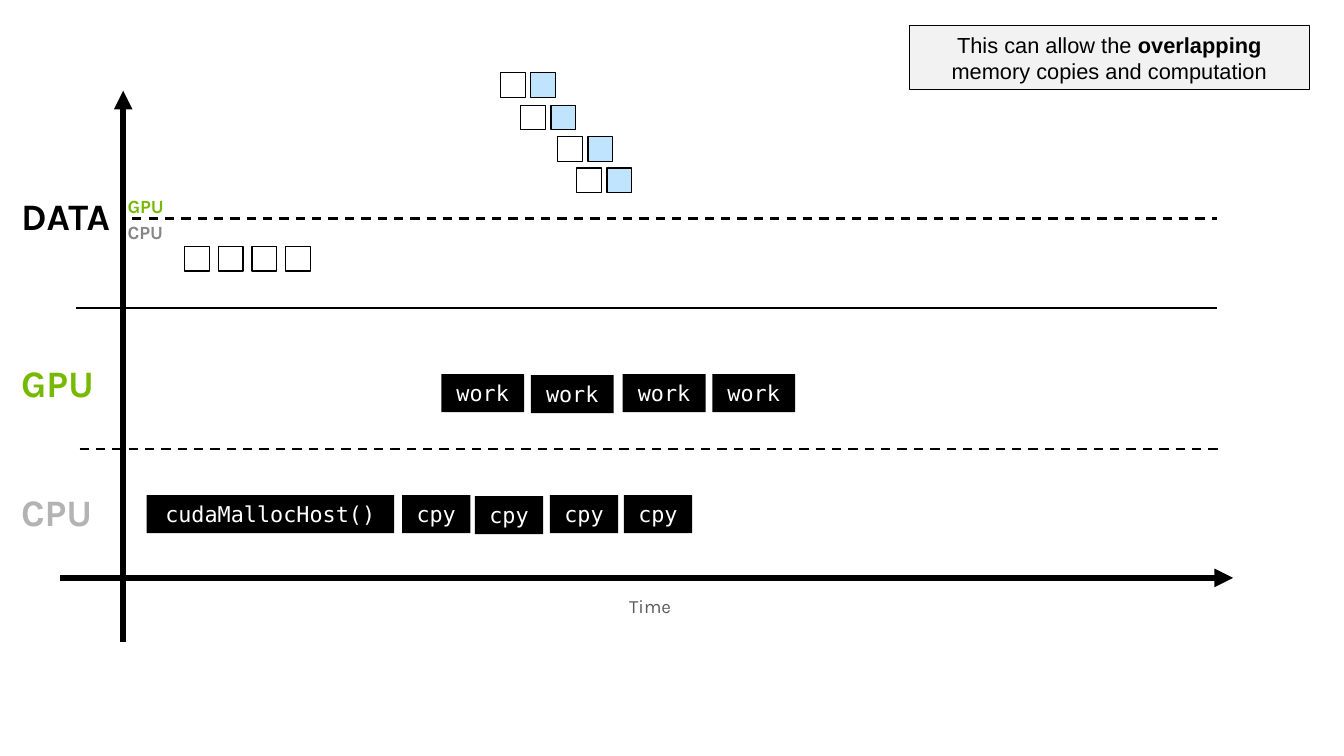
import dataclasses
from typing import Optional

import lxml.etree
import pptx
import pptx.dml.color
import pptx.enum.dml
import pptx.enum.shapes
import pptx.enum.text
import pptx.oxml.ns
import pptx.util
from pptx.util import Inches

COLORS = {
    "black": "000000",
    "white": "FFFFFF",
    "gpu": "76B900",
    "cpu": "B3B3B3",
    "cpu_data": "868686",
    "time": "595959",
    "copied": "C0E3FE",
    "callout": "F2F2F2",
}
ALIGN = pptx.enum.text.PP_ALIGN
ANCHOR = pptx.enum.text.MSO_ANCHOR
CELL = 0.22
TASK_HEIGHT = 0.34


@dataclasses.dataclass
class Rule:
    start: tuple[float, float]
    end: tuple[float, float]
    weight: float = 1.5
    dashed: bool = False
    arrow: bool = False


@dataclasses.dataclass
class Label:
    text: str
    left: float
    top: float
    width: float
    height: float
    size: int
    color: str
    bold: bool = True
    align: ALIGN = ALIGN.LEFT


@dataclasses.dataclass
class Task:
    text: str
    left: float
    top: float
    width: float


def rgb(color: str) -> pptx.dml.color.RGBColor:
    return pptx.dml.color.RGBColor.from_string(COLORS[color])


def style_run(run, font: str, size: int, color: str, bold: bool = False) -> None:
    run.font.name = font
    run.font.size = pptx.util.Pt(size)
    run.font.bold = bold
    run.font.color.rgb = rgb(color)


def draw_rule(shapes, rule: Rule) -> None:
    connector = shapes.add_connector(
        pptx.enum.shapes.MSO_CONNECTOR.STRAIGHT,
        *(Inches(value) for value in rule.start + rule.end),
    )
    connector.line.color.rgb = rgb("black")
    connector.line.width = pptx.util.Pt(rule.weight)
    if rule.dashed:
        connector.line.dash_style = pptx.enum.dml.MSO_LINE.DASH
    qn = pptx.oxml.ns.qn
    if rule.arrow:
        outline = connector.line._get_or_add_ln()
        lxml.etree.SubElement(outline, qn("a:tailEnd"), type="triangle")
    lxml.etree.SubElement(connector._element.spPr, qn("a:effectLst"))


def draw_label(shapes, label: Label) -> None:
    box = shapes.add_textbox(
        Inches(label.left), Inches(label.top), Inches(label.width), Inches(label.height)
    )
    frame = box.text_frame
    frame.text = label.text
    frame.word_wrap = False
    frame.vertical_anchor = ANCHOR.BOTTOM
    paragraph = frame.paragraphs[0]
    paragraph.alignment = label.align
    paragraph.line_spacing = 0.9
    style_run(paragraph.runs[0], "Karla", label.size, label.color, label.bold)


def draw_box(
    shapes, left: float, top: float, width: float, height: float,
    fill: Optional[str] = None, line: Optional[str] = None,
):
    box = shapes.add_shape(
        pptx.enum.shapes.MSO_SHAPE.RECTANGLE,
        Inches(left), Inches(top), Inches(width), Inches(height),
    )
    box.shadow.inherit = False
    if fill:
        box.fill.solid()
        box.fill.fore_color.rgb = rgb(fill)
    else:
        box.fill.background()
    if line:
        box.line.color.rgb = rgb(line)
        box.line.width = pptx.util.Pt(0.75)
    else:
        box.line.fill.background()
    return box


def draw_cell(shapes, left: float, top: float, fill: Optional[str] = None) -> None:
    draw_box(shapes, left, top, CELL, CELL, fill, "black")


def draw_task(shapes, task: Task) -> None:
    box = draw_box(shapes, task.left, task.top, task.width, TASK_HEIGHT, "black")
    frame = box.text_frame
    frame.text = task.text
    frame.word_wrap = False
    frame.vertical_anchor = ANCHOR.MIDDLE
    frame.paragraphs[0].alignment = ALIGN.CENTER
    style_run(frame.paragraphs[0].runs[0], "DejaVu Sans Mono", 14, "white")


def draw_callout(shapes) -> None:
    callout = draw_box(shapes, 8.12, 0.23, 3.57, 0.57, "callout", "black")
    frame = callout.text_frame
    frame.word_wrap = True
    frame.vertical_anchor = ANCHOR.TOP
    paragraph = frame.paragraphs[0]
    paragraph.alignment = ALIGN.CENTER
    for text, bold in (
        ("This can allow the ", False),
        ("overlapping", True),
        (" memory copies and computation", False),
    ):
        run = paragraph.add_run()
        run.text = text
        style_run(run, "Arial", 14, "black", bold)


RULES = [
    Rule((1.1, 5.73), (1.1, 0.81), 4, arrow=True),
    Rule((0.54, 5.16), (11.01, 5.16), 4, arrow=True),
    Rule((0.71, 4.01), (10.9, 4.01), dashed=True),
    Rule((0.68, 2.75), (10.87, 2.75)),
    Rule((1.18, 1.95), (10.87, 1.95), dashed=True),
]
LABELS = [
    Label("CPU", 0.09, 4.36, 0.97, 0.46, 24, "cpu"),
    Label("DATA", 0.09, 1.72, 1.1, 0.46, 24, "black"),
    Label("GPU", 0.09, 3.21, 0.97, 0.46, 24, "gpu"),
    Label("CPU", 1.04, 1.94, 0.55, 0.28, 12, "cpu_data"),
    Label("GPU", 1.04, 1.71, 0.55, 0.28, 12, "gpu"),
    Label("Time", 5.51, 5.26, 0.59, 0.3, 12, "time", False, ALIGN.CENTER),
]
CPU_TASKS = [Task("cudaMallocHost()", 1.31, 4.42, 2.21)] + [
    Task("cpy", left, top, 0.61)
    for left, top in ((3.59, 4.42), (4.24, 4.43), (4.91, 4.42), (5.57, 4.42))
]
GPU_TASKS = [
    Task("work", left, top, 0.74)
    for left, top in ((3.94, 3.34), (4.74, 3.35), (5.56, 3.34), (6.36, 3.34))
]
GPU_DATA = [(4.47, 0.65), (4.65, 0.94), (4.98, 1.22), (5.15, 1.5)]


def main() -> None:
    deck = pptx.Presentation()
    deck.slide_width, deck.slide_height = Inches(12), Inches(6.75)
    timeline = deck.slides.add_slide(deck.slide_layouts[6]).shapes

    for rule in RULES:
        draw_rule(timeline, rule)
    for label in LABELS:
        draw_label(timeline, label)

    cpu_data = timeline.add_group_shape().shapes
    for index in range(4):
        draw_cell(cpu_data, 1.65 + 0.3 * index, 2.2)
    gpu_data = timeline.add_group_shape().shapes
    for left, top in GPU_DATA:
        draw_cell(gpu_data, left, top)
        draw_cell(gpu_data, left + 0.27, top, "copied")

    for task in CPU_TASKS:
        draw_task(timeline, task)
    gpu_work = timeline.add_group_shape().shapes
    for task in GPU_TASKS:
        draw_task(gpu_work, task)

    draw_callout(timeline)
    deck.save("out.pptx")


if __name__ == "__main__":
    main()
